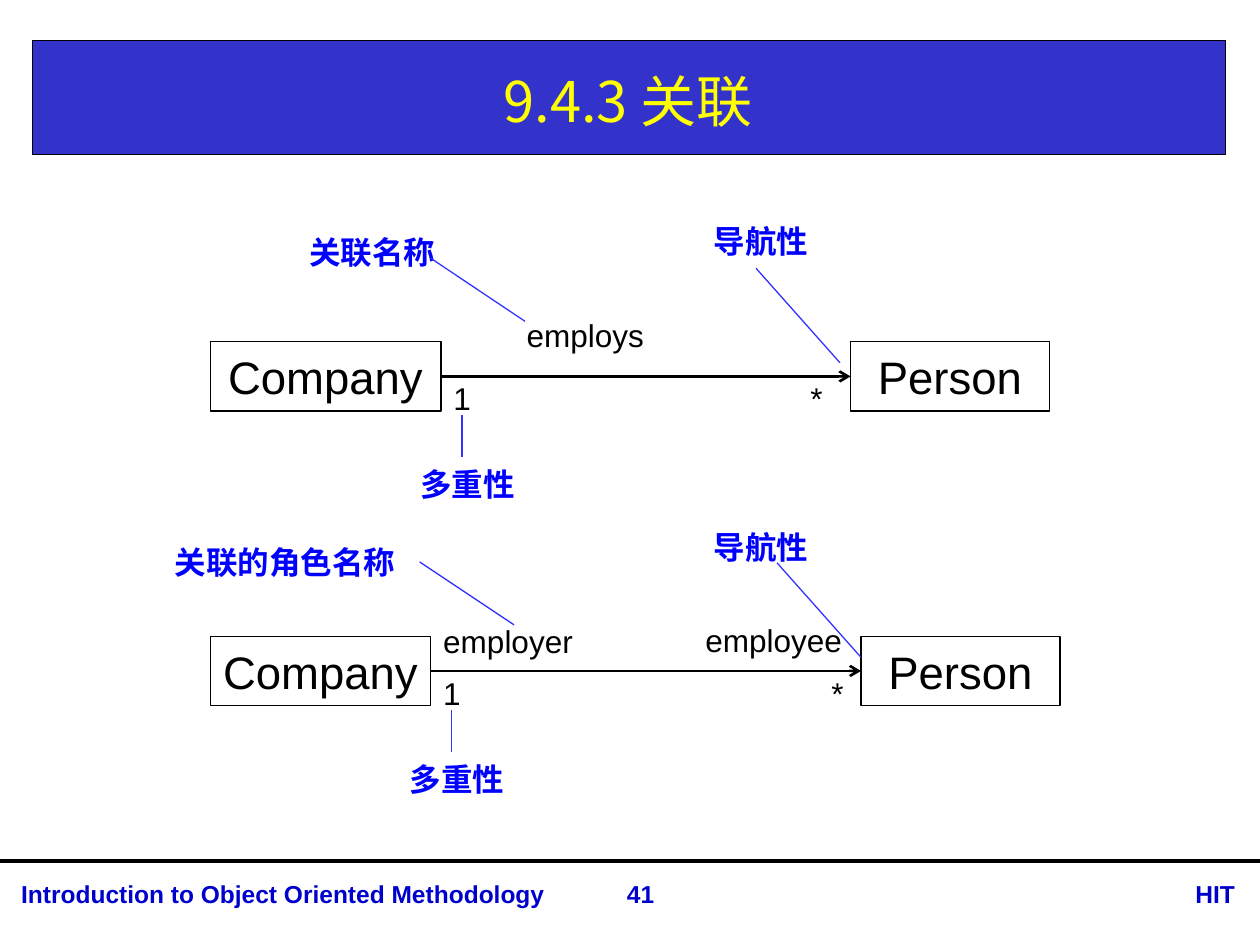
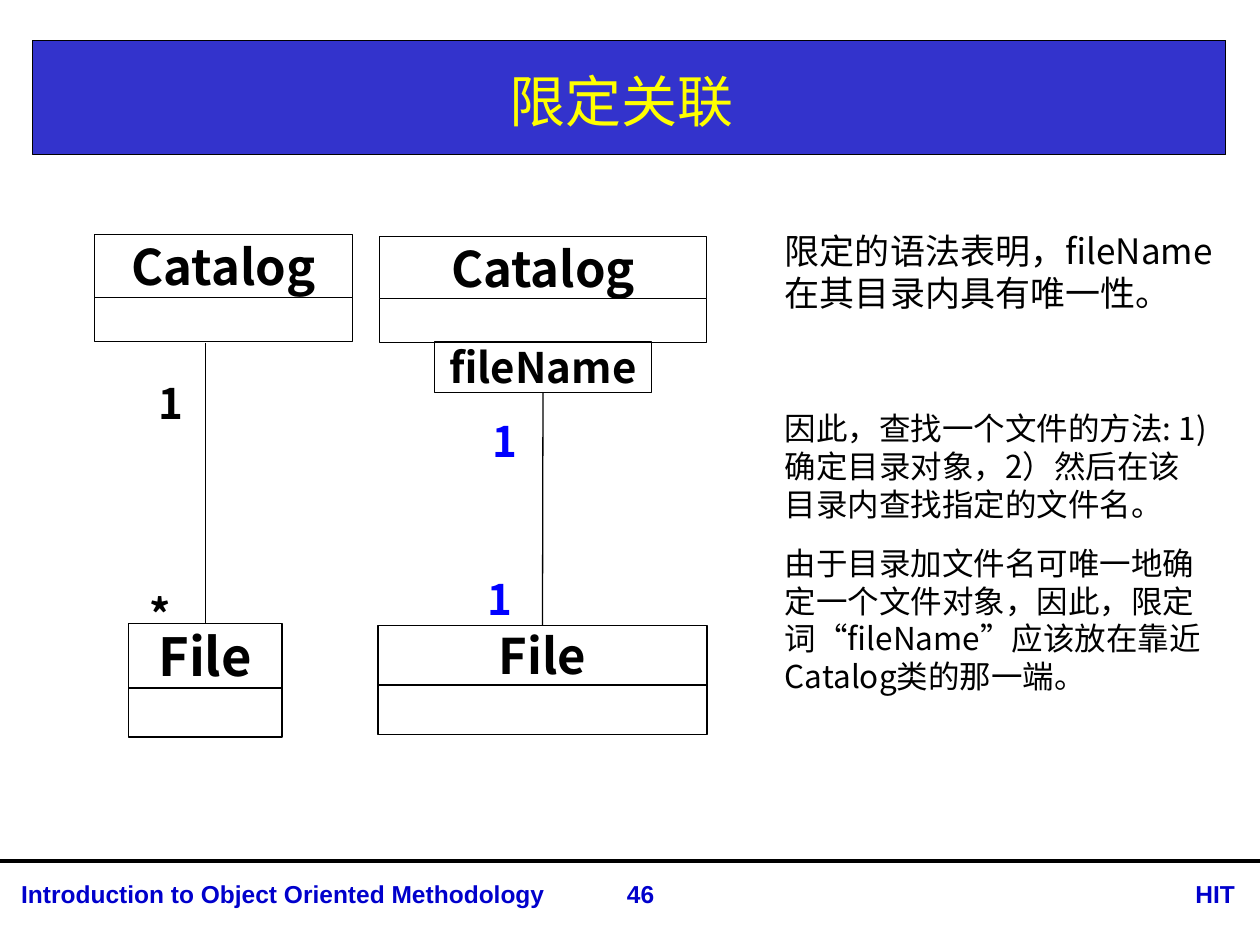
from lxml import etree
from pptx import Presentation
from pptx.dml.color import RGBColor
from pptx.enum import shapes, text
from pptx.oxml import ns
from pptx.util import Pt

BLACK = RGBColor(0, 0, 0)
WHITE = RGBColor(255, 255, 255)
BAND_BLUE = RGBColor(0x33, 0x33, 0xCC)
LEADER_BLUE = RGBColor(0x33, 0x33, 0xFF)
FOOTER_BLUE = RGBColor(0, 0, 0xCC)
LABEL_BLUE = RGBColor(0, 0, 0xFF)
YELLOW = RGBColor(255, 255, 0)
LATIN, CHINESE = "Arial", "Noto Sans CJK SC"
LEFT, CENTER, RIGHT = text.PP_ALIGN.LEFT, text.PP_ALIGN.CENTER, text.PP_ALIGN.RIGHT
TOP_SIDE, LEFT_SIDE, BOTTOM_SIDE, RIGHT_SIDE = range(4)
TITLE_ONLY = 5


class Lecture:
    def __init__(self):
        self.deck = Presentation()
        self.deck.slide_width, self.deck.slide_height = Pt(720), Pt(540)
        self.page = None

    def new_page(self, title, number):
        """Start a slide with its title band and footer."""
        self.page = self.deck.slides.add_slide(self.deck.slide_layouts[TITLE_ONLY])
        self.box(18.7, 23, 681.8, 65.5, fill=BAND_BLUE)
        self.line((0, 491.8), (720, 491.8), weight=2.25)
        for left, width, words, align in (
                (5, 333.4, "Introduction to Object Oriented Methodology", LEFT),
                (638.6, 74.2, "HIT", RIGHT),
                (329, 74.2, number, CENTER)):
            self.label(left, 499, width, words, 14, FOOTER_BLUE, True, align, height=24.5)
        heading = self.page.shapes.title
        self.page.shapes._spTree.append(heading._element)  # bring above the band
        heading.left, heading.top = Pt(18.7), Pt(25.9)
        heading.width, heading.height = Pt(680.4), Pt(62.6)
        self.set_text(heading, [title], 32, YELLOW, font=CHINESE, align=CENTER,
                      anchor=text.MSO_ANCHOR.MIDDLE)

    def set_text(self, shape, paragraphs, size, color=BLACK, bold=False, font=LATIN,
                 align=LEFT, anchor=text.MSO_ANCHOR.TOP, margins=(7.2, 3.6), wrap=True):
        frame = shape.text_frame
        frame.auto_size = text.MSO_AUTO_SIZE.NONE
        frame.word_wrap = wrap
        frame.vertical_anchor = anchor
        frame.margin_left = frame.margin_right = Pt(margins[0])
        frame.margin_top = frame.margin_bottom = Pt(margins[1])
        for index, words in enumerate(paragraphs):
            para = frame.add_paragraph() if index else frame.paragraphs[0]
            para.text = words
            para.alignment = align
            if index:
                para.space_before = Pt(12)
            para.font.size, para.font.bold, para.font.name = Pt(size), bold, font
            para.font.color.rgb = color
            east_asian = etree.SubElement(para.font._element, ns.qn("a:ea"))
            east_asian.set("typeface", CHINESE)

    def label(self, left, top, width, words, size=18, color=BLACK, bold=False,
              align=LEFT, height=28.8, font=LATIN, margins=(7.2, 3.6)):
        holder = self.page.shapes.add_textbox(Pt(left), Pt(top), Pt(width), Pt(height))
        self.set_text(holder, words.split("\n"), size, color, bold, font, align,
                      margins=margins)

    def callout(self, left, top, width, words, start, end):
        """Blue term with a leader line to what it explains."""
        self.label(left, top, width, words, color=LABEL_BLUE, bold=True, align=CENTER)
        self.line(start, end, LEADER_BLUE)

    def box(self, left, top, width, height, words=None, size=26, fill=None,
            bold=False, font=LATIN):
        rectangle = self.page.shapes.add_shape(
            shapes.MSO_SHAPE.RECTANGLE, Pt(left), Pt(top), Pt(width), Pt(height))
        rectangle.shadow.inherit = False
        if fill is None:
            rectangle.fill.background()
        else:
            rectangle.fill.solid()
            rectangle.fill.fore_color.rgb = fill
        rectangle.line.color.rgb = BLACK
        rectangle.line.width = Pt(0.75)
        if words:
            self.set_text(rectangle, [words], size, bold=bold, font=font, align=CENTER,
                          anchor=text.MSO_ANCHOR.MIDDLE, margins=(0, 0), wrap=False)
        return rectangle

    def class_box(self, left, top, width, name_height, body_height, name, size=28):
        """UML class: a name part over an empty part; returns the name part."""
        self.box(left, top + name_height, width, body_height, fill=WHITE)
        return self.box(left, top, width, name_height, name, size, WHITE, True, CHINESE)

    def line(self, start, end, color=BLACK, weight=0.75, arrow=False):
        connector = self.page.shapes.add_connector(
            shapes.MSO_CONNECTOR.STRAIGHT, *map(Pt, start + end))
        connector.line.color.rgb = color
        connector.line.width = Pt(weight)
        if arrow:
            tail = etree.SubElement(connector.line._get_or_add_ln(), ns.qn("a:tailEnd"))
            tail.set("type", "arrow")
        etree.SubElement(connector._element.spPr, ns.qn("a:effectLst"))
        return connector

    def association(self, top, company_width, person_left, star_gap, leader_gap, term_rise):
        """Company and Person joined by an arrow, with its ends explained."""
        company_left, height = 120.2, 39.6
        edge = company_left + company_width
        company = self.box(company_left, top, company_width, height, "Company")
        person = self.box(person_left, top, 113.8, height, "Person")
        middle = top + height / 2
        arrow = self.line((edge, middle), (person_left, middle), weight=1.5, arrow=True)
        arrow.begin_connect(company, RIGHT_SIDE)
        arrow.end_connect(person, LEFT_SIDE)
        self.label(edge, top + 18, 30, "1")
        self.label(person_left - star_gap, top + 18, 30, "*")
        self.callout(edge - 30, top + 67, 90, "多重性",
                     (edge + 12, top + 66), (edge + 12, top + 42))
        tip = person_left - leader_gap
        self.callout(390, top - term_rise, 90, "导航性",
                     (tip - 48, top - 42), (tip, top + 12))


def association_page(lecture):
    lecture.new_page("9.4.3 关联", "41")
    lecture.association(195.3, 131.8, 486, star_gap=30, leader_gap=6, term_rise=72)
    lecture.label(293.8, 177.1, 84.2, "employs")
    lecture.callout(167.8, 129.6, 90, "关联名称", (246.2, 147.6), (300, 183.6))

    lecture.association(363.6, 126, 492, star_gap=24, leader_gap=0, term_rise=65.5)
    lecture.label(246.2, 352.1, 90, "employer")
    lecture.label(396, 351.4, 102, "employee")
    lecture.callout(85, 306.7, 155.5, "关联的角色名称", (239.8, 321.1), (293.8, 357.1))


def qualified_page(lecture):
    lecture.new_page("限定关联 ", "46")
    # Plain association
    lecture.class_box(54, 134, 147.6, 36, 25.2, "Catalog")
    file = lecture.class_box(73.4, 356.4, 87.8, 36.7, 28.1, "File", 30)
    link = lecture.line((117.3, 195.8), (117.3, 356.4))
    link.end_connect(file, TOP_SIDE)

    # Association qualified by fileName
    lecture.class_box(216.7, 135.2, 187.2, 35.6, 25, "Catalog")
    file = lecture.class_box(216, 357.3, 188, 34.2, 28.1, "File")
    qualifier = lecture.box(248.4, 195.4, 123.8, 28.8, "fileName", 24, WHITE, True, CHINESE)
    link = lecture.line((310.3, 224.2), (310, 357.3))
    link.begin_connect(qualifier, BOTTOM_SIDE)
    link.end_connect(file, TOP_SIDE)

    for left, top, width, height, mark, color, margins in (
            (86.4, 213.8, 25.2, 31, "1", BLACK, (4.3, 2.2)),
            (85.7, 336.2, 14, 28.8, "*", BLACK, (0, 0)),
            (277.2, 235.4, 25.2, 31, "1", LABEL_BLUE, (4.3, 2.2)),
            (278.6, 327.6, 16, 28.8, "1", LABEL_BLUE, (0, 0))):
        lecture.label(left, top, width, mark, 24, color, True, height=height,
                      font=CHINESE, margins=margins)

    lecture.label(441.4, 127.4, 265, "限定的语法表明，fileName在其目录内具有唯一性。",
                  20, height=55.4, font=CHINESE)
    lecture.label(441.4, 230.4, 257.8,
                  "因此，查找一个文件的方法: 1) 确定目录对象，2）然后在该目录内查找指定的文件名。\n"
                  "由于目录加文件名可唯一地确定一个文件对象，因此，"
                  "限定词“fileName”应该放在靠近Catalog类的那一端。",
                  18, height=172, font=CHINESE)


def main():
    lecture = Lecture()
    association_page(lecture)
    qualified_page(lecture)
    lecture.deck.save("out.pptx")


if __name__ == "__main__":
    main()
